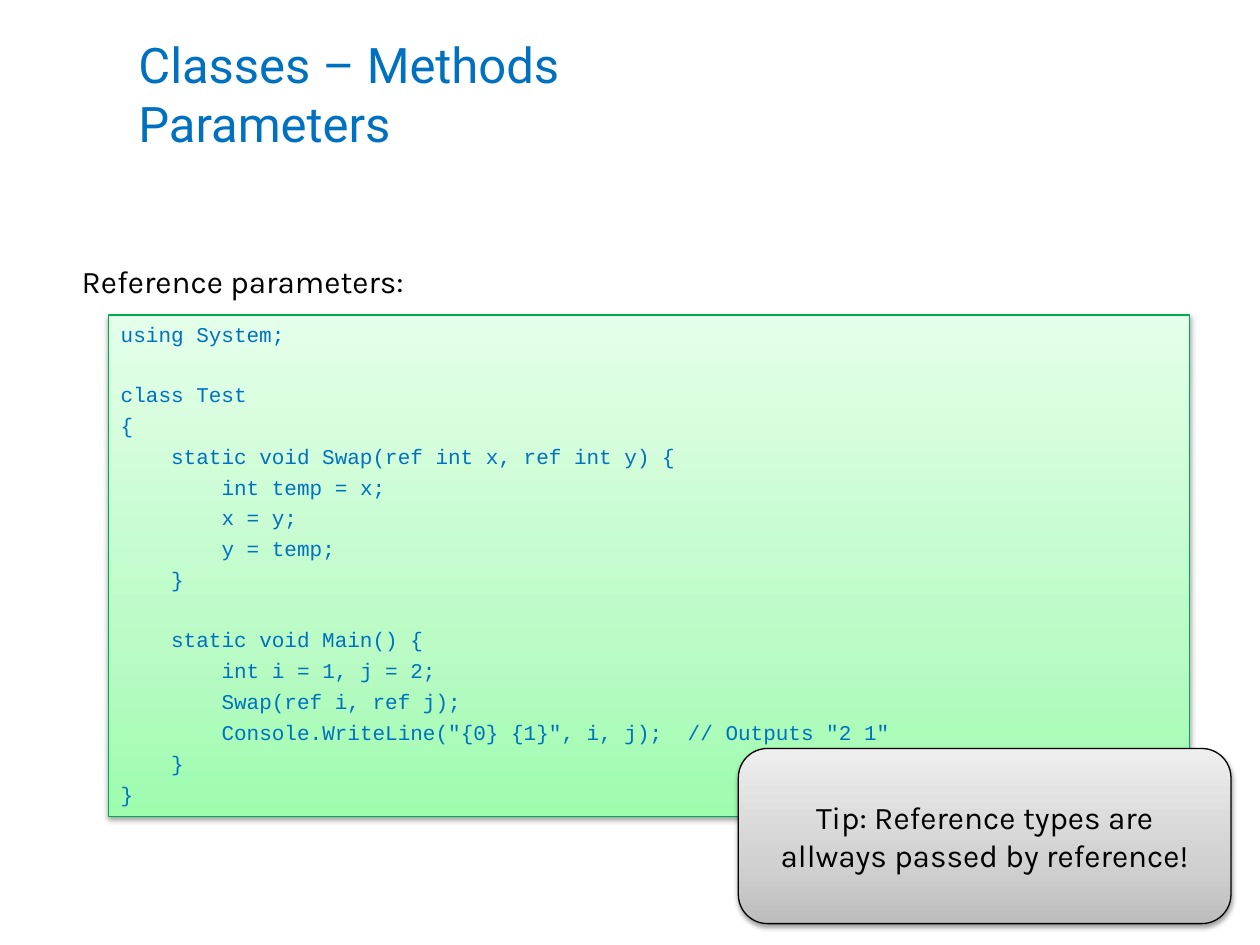
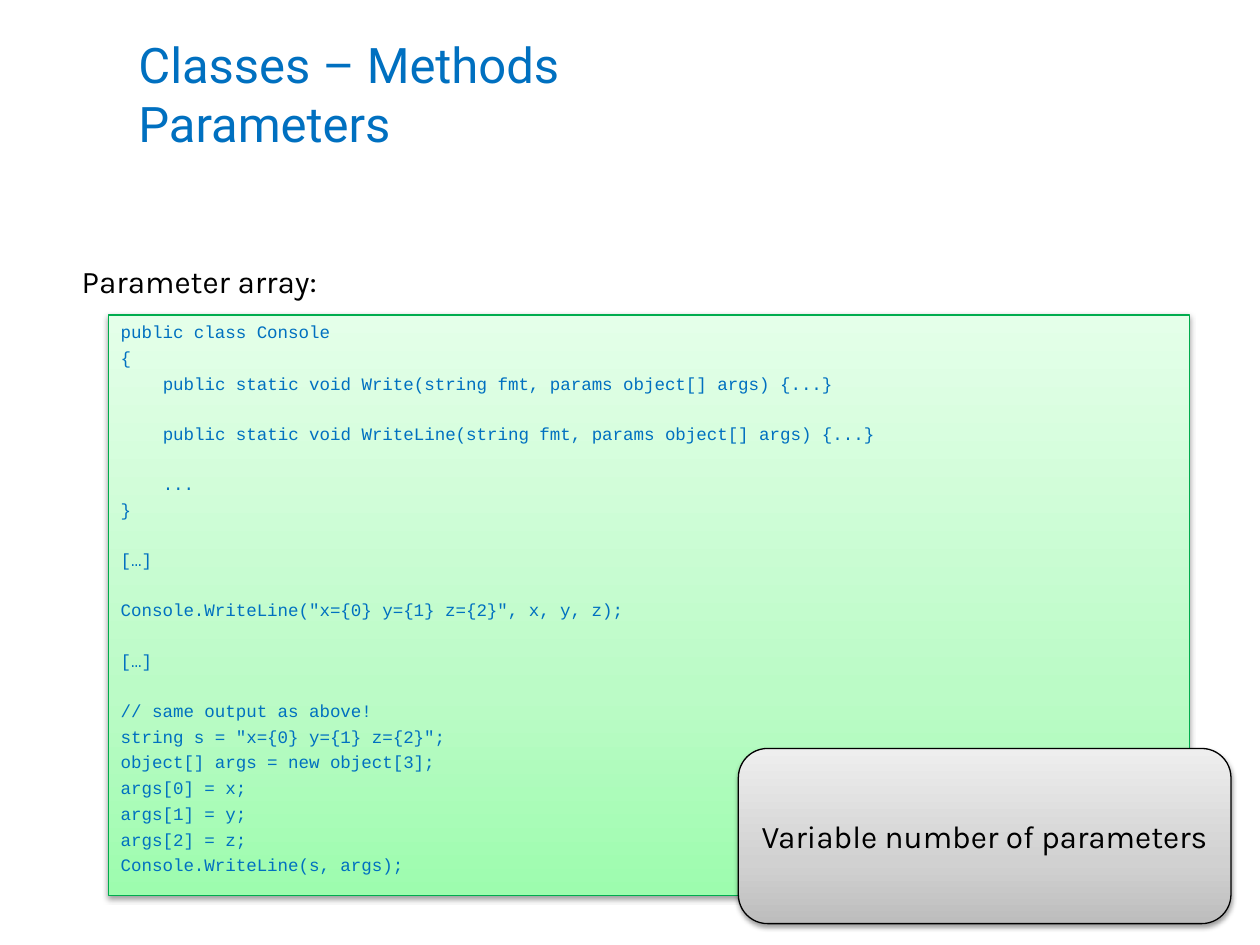
from copy import deepcopy

from lxml import etree
from pptx import Presentation
from pptx.dml.color import RGBColor
from pptx.enum.shapes import MSO_SHAPE
from pptx.enum.text import MSO_ANCHOR, PP_ALIGN
from pptx.oxml.ns import qn
from pptx.util import Inches, Pt

RECTANGLE, ROUNDED = MSO_SHAPE.RECTANGLE, MSO_SHAPE.ROUNDED_RECTANGLE
TOP, MIDDLE = MSO_ANCHOR.TOP, MSO_ANCHOR.MIDDLE
LEFT, CENTER = PP_ALIGN.LEFT, PP_ALIGN.CENTER

BLUE, BLACK, GREEN = "0070C0", "000000", "00AC4E"
GREEN_STOPS = ((0, "9DFCAE"), (0.35, "BBFBC6"), (1, "E4FFE9"))
GRAY_STOPS = ((0, "BDBDBD"), (0.35, "D1D1D1"), (1, "EEEEEE"))
TITLE_FONT, BODY_FONT, CODE_FONT = "Roboto", "Karla", "Courier New"

TITLE = "Classes – Methods\vParameters"
TITLE_BOX = (1, 0.17, 8.75, 1.14)
TIP_BOX = (5.86, 5.94, 3.91, 1.39)
CODE_LEFT, CODE_TOP, CODE_WIDTH = 0.86, 2.5, 8.58

# Code metrics as multiples of the font size
CHARACTER_WIDTH, LINE_GAP, LINE_PITCH = 0.6, 0.27, 1.4
COMMENT_COLUMN = 54

SWAP_CODE = """\
using System;

class Test
{
    static void Swap(ref int x, ref int y) {
        int temp = x;
        x = y;
        y = temp;
    }

    static void Main() {
        int i = 1, j = 2;
        Swap(ref i, ref j);
        Console.WriteLine("{0} {1}", i, j);\t// Outputs "2 1"
    }
}"""

PARAMS_CODE = """\
public class Console
{
    public static void Write(string fmt, params object[] args) {...}

    public static void WriteLine(string fmt, params object[] args) {...}

    ...
}

[…]

Console.WriteLine("x={0} y={1} z={2}", x, y, z);

[…]

// same output as above!
string s = "x={0} y={1} z={2}";
object[] args = new object[3];
args[0] = x;
args[1] = y;
args[2] = z;
Console.WriteLine(s, args);"""


def color(value):
    return RGBColor.from_string(value)


def inches(box):
    return [Inches(length) for length in box]


def format_runs(paragraph, font_name, size, font_color):
    for run in paragraph.runs:
        run.font.name = font_name
        run.font.size = Pt(size)
        run.font.color.rgb = color(font_color)


def add_text(slide, box, text, font_name, size, font_color, wrap=True, anchor=TOP):
    frame = slide.shapes.add_textbox(*inches(box)).text_frame
    frame.word_wrap = wrap
    frame.vertical_anchor = anchor
    frame.text = text
    format_runs(frame.paragraphs[0], font_name, size, font_color)


def add_shadow(shape):
    shape.shadow.inherit = False
    effects = shape._element.spPr.find(qn("a:effectLst"))
    shadow = etree.SubElement(
        effects, qn("a:outerShdw"), blurRad=str(Pt(3.1)), dist=str(Pt(1.6)),
        dir="5400000", rotWithShape="0")
    shade = etree.SubElement(shadow, qn("a:srgbClr"), val=BLACK)
    etree.SubElement(shade, qn("a:alpha"), val="38000")


def add_panel(slide, preset, box, stops, line_color):
    """Add a panel with an upward gradient, a thin outline and a soft shadow."""
    shape = slide.shapes.add_shape(preset, *inches(box))
    shape.fill.gradient()
    shape.fill.gradient_angle = 90
    stop_list = shape._element.spPr.find(qn("a:gradFill")).find(qn("a:gsLst"))
    stop_list.append(deepcopy(stop_list[-1]))
    for stop, (position, stop_color) in zip(shape.fill.gradient_stops, stops):
        stop.position = position
        stop.color.rgb = color(stop_color)
    shape.line.color.rgb = color(line_color)
    shape.line.width = Pt(0.75)
    add_shadow(shape)
    shape.text_frame.word_wrap = True
    return shape


def add_code(slide, box, code, size):
    """Set code with indents for leading spaces and spacing for blank lines."""
    frame = add_panel(slide, RECTANGLE, box, GREEN_STOPS, GREEN).text_frame
    frame.vertical_anchor = TOP
    lines = code.splitlines()
    frame.text = "\n".join(line.strip() for line in lines if line)
    paragraphs = iter(frame.paragraphs)
    blank_lines = 0
    for line in lines:
        if not line:
            blank_lines += 1
            continue
        paragraph = next(paragraphs)
        paragraph.alignment = LEFT
        paragraph.space_before = Pt(size * (LINE_GAP + blank_lines * LINE_PITCH))
        blank_lines = 0
        indent = len(line) - len(line.lstrip())
        properties = paragraph._p.get_or_add_pPr()
        properties.set("marL", "0")
        properties.set("indent", str(Pt(indent * size * CHARACTER_WIDTH)))
        if "\t" in line:
            tabs = etree.SubElement(properties, qn("a:tabLst"))
            position = Pt(COMMENT_COLUMN * size * CHARACTER_WIDTH)
            etree.SubElement(tabs, qn("a:tab"), pos=str(position), algn="l")
        format_runs(paragraph, CODE_FONT, size, BLUE)


def add_tip(slide, box, text):
    frame = add_panel(slide, ROUNDED, box, GRAY_STOPS, BLACK).text_frame
    frame.vertical_anchor = MIDDLE
    frame.text = text
    frame.paragraphs[0].alignment = CENTER
    format_runs(frame.paragraphs[0], BODY_FONT, 18, BLACK)


def add_code_slide(presentation, label, label_width, code, code_size, code_height, tip):
    slide = presentation.slides.add_slide(presentation.slide_layouts[6])
    add_text(slide, TITLE_BOX, TITLE, TITLE_FONT, 28, BLUE, anchor=MIDDLE)
    add_code(slide, (CODE_LEFT, CODE_TOP, CODE_WIDTH, code_height), code, code_size)
    add_text(slide, (0.55, 2.03, label_width, 0.4), label, BODY_FONT, 18, BLACK, wrap=False)
    add_tip(slide, TIP_BOX, tip)


def main():
    presentation = Presentation()
    presentation.slide_width = Inches(10)
    presentation.slide_height = Inches(7.5)
    add_code_slide(presentation, "Reference parameters:", 3.11, SWAP_CODE, 12, 3.98,
                   "Tip: Reference types are allways passed by reference!")
    add_code_slide(presentation, "Parameter array:", 2.37, PARAMS_CODE, 10, 4.61,
                   "Variable number of parameters")
    presentation.save("out.pptx")


if __name__ == "__main__":
    main()
